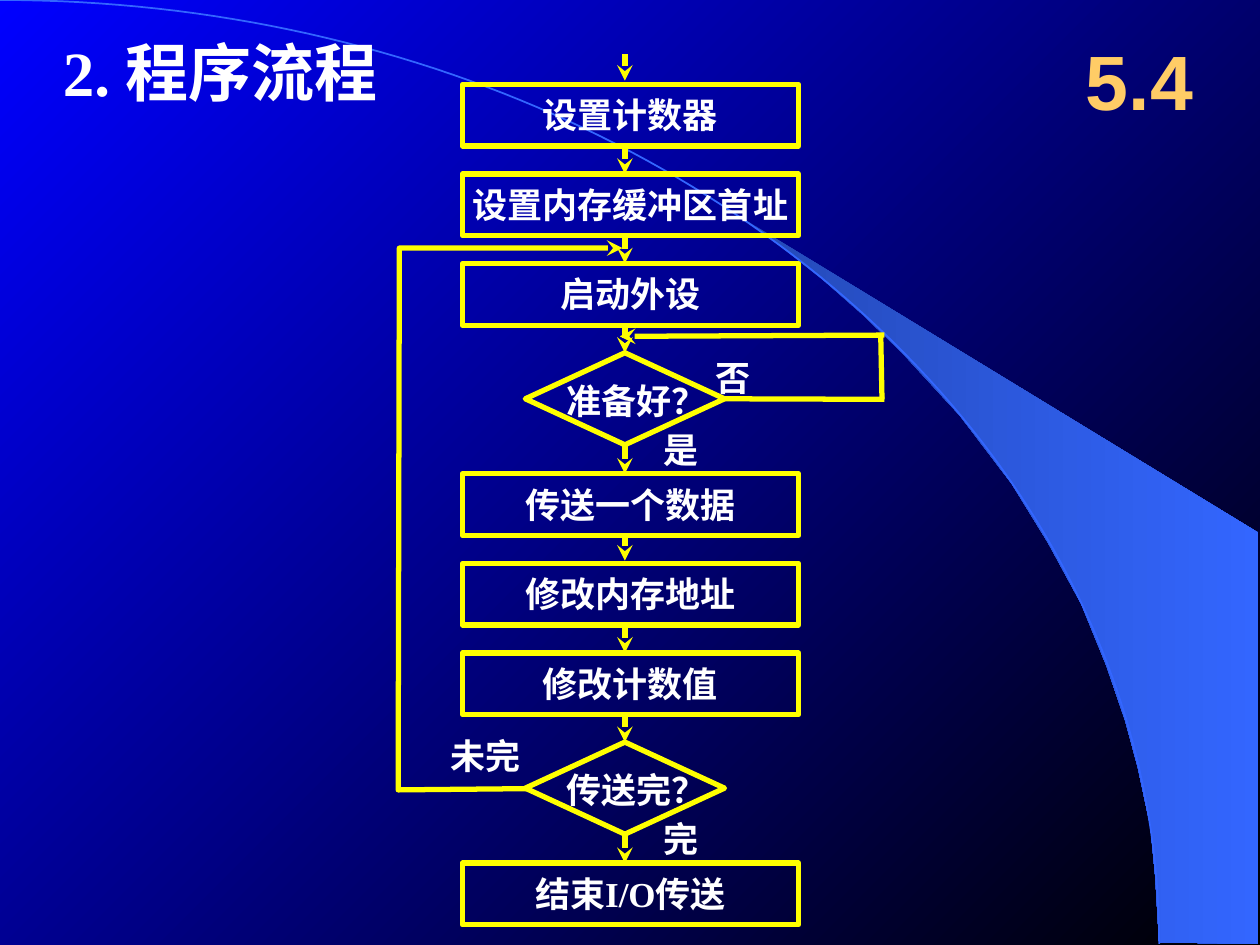
import pptx
import pptx.dml.color
import pptx.enum.shapes
import pptx.enum.text
import pptx.oxml.ns
import pptx.util
from lxml import etree

Pt = pptx.util.Pt
RGB = pptx.dml.color.RGBColor.from_string
Shapes = pptx.enum.shapes.MSO_SHAPE
Anchor = pptx.enum.text.MSO_ANCHOR
Align = pptx.enum.text.PP_ALIGN
qn = pptx.oxml.ns.qn

COLORS = {
    "blue": "0000FF", "black": "000000", "wedge": "2449B6", "arc": "3366FF",
    "flow": "FFFF00", "text": "FFFFFF", "number": "FFCC66",
}


def write(shape, text, size=20, font="Times New Roman", color="text", align=Align.LEFT,
          anchor=Anchor.TOP, wrap=False, top_inset=3.6):
    frame = shape.text_frame
    frame.word_wrap = wrap
    frame.auto_size = pptx.enum.text.MSO_AUTO_SIZE.NONE
    frame.vertical_anchor = anchor
    frame.margin_left = frame.margin_right = Pt(7.2)
    frame.margin_top, frame.margin_bottom = Pt(top_inset), Pt(3.6)
    paragraph = frame.paragraphs[0]
    paragraph.alignment = align
    run = paragraph.add_run()
    run.text = text
    run.font.name = font
    run.font.size = Pt(size)
    run.font.bold = True
    run.font.color.rgb = RGB(COLORS[color])


def outline(shape, color="flow", width=3, arrow=False):
    shape.line.color.rgb = RGB(COLORS[color])
    shape.line.width = Pt(width)
    properties = shape.element.spPr
    if arrow:
        etree.SubElement(properties.find(qn("a:ln")), qn("a:tailEnd"), type="stealth")
    etree.SubElement(properties, qn("a:effectLst"))


presentation = pptx.Presentation()
presentation.slide_width, presentation.slide_height = Pt(720), Pt(540)
slide = presentation.slides.add_slide(presentation.slide_layouts[5])
shapes = slide.shapes

background = slide.background.fill
background.gradient()
background.gradient_angle = 315
for stop, color, position in zip(background.gradient_stops, ("blue", "black"), (0, 1)):
    stop.color.rgb = RGB(COLORS[color])
    stop.position = position

wedge_points = [
    (662.4, 538.6), (719.3, 539.3), (719.3, 304.6), (424.1, 124.6), (449.3, 143.3),
    (470.2, 159.8), (493.2, 180), (515.5, 201.6), (548.6, 237.6), (578.2, 276.5),
    (599, 310.3), (617.8, 344.9), (632.2, 380.2), (643, 411.8), (650.2, 438.5),
    (657.4, 472.3), (660.2, 501.1), (662.4, 538.6),
]
arc_points = []
for step in range(97):
    t = step / 96
    x = 3 * (1 - t) ** 2 * t * 365.8 + (3 * (1 - t) * t ** 2 + t ** 3) * 662.4
    y = 3 * (1 - t) * t ** 2 * 241.2 + t ** 3 * 539.3
    arc_points.append((x, y))
return_points = [(301, 450.7), (227.5, 451.4), (228.2, 141.8), (355.7, 141.8)]

freeforms = []
for points in (wedge_points, arc_points, return_points):
    corners = [(Pt(x), Pt(y)) for x, y in points]
    builder = shapes.build_freeform(*corners[0], scale=1)
    builder.add_line_segments(corners[1:], close=points is wedge_points)
    freeforms.append(builder.convert_to_shape())
wedge, arc, return_path = freeforms

wedge.shadow.inherit = False
wedge.line.fill.background()
wedge.fill.gradient()
wedge.fill.gradient_angle = 0
for stop, color, position in zip(wedge.fill.gradient_stops, ("wedge", "arc"), (0, 1)):
    stop.color.rgb = RGB(COLORS[color])
    stop.position = position
arc.fill.background()
outline(arc, color="arc", width=1)
return_path.fill.background()
outline(return_path, arrow=True)

title = shapes.title
title.left, title.top, title.width, title.height = Pt(606.2), Pt(12.2), Pt(90), Pt(66.2)
write(title, "5.4", size=44, font="Arial", color="number", align=Align.CENTER,
      anchor=Anchor.MIDDLE, wrap=True)

heading = shapes.add_textbox(Pt(28.8), Pt(15.8), Pt(194.4), Pt(50.4))
write(heading, "2. 程序流程", size=36, wrap=True)

step_groups = [
    (48.2, ["设置计数器", "设置内存缓冲区首址", "启动外设"]),
    (270.7, ["传送一个数据", "修改内存地址", "修改计数值"]),
    (493.2, ["结束I/O传送"]),
]
for first_top, names in step_groups:
    for row, name in enumerate(names):
        box = shapes.add_shape(Shapes.RECTANGLE, Pt(264.2), Pt(first_top + 51.2 * row),
                               Pt(192.2), Pt(35.3))
        box.fill.background()
        outline(box)
        write(box, name, align=Align.CENTER, anchor=Anchor.MIDDLE, top_inset=2.9)

decisions = []
for top in (201.6, 424.1):
    diamond = shapes.add_shape(Shapes.DIAMOND, Pt(300.2), Pt(top), Pt(113.8), Pt(52.6))
    diamond.fill.background()
    outline(diamond)
    decisions.append(diamond)
ready, finished = decisions

labels = [
    ("准备好？", 316.8, 213.1, 95), ("传送完？", 316.8, 435.6, 95),
    ("未完", 250.6, 416.2, 54.7), ("是", 372.2, 241.2, 34.6),
    ("完", 372.2, 463.7, 34.6), ("否", 401.8, 200.2, 34.6),
]
for text, left, top, width in labels:
    label = shapes.add_textbox(Pt(left), Pt(top), Pt(width), Pt(31))
    write(label, text)

center = 357.1
arrows = [
    (31, 46.1, None, None), (84.2, 99.4, None, None), (136.1, 150.5, None, None),
    (185.8, 201.6, None, ready), (254.2, 270.7, ready, None),
    (305.3, 320.4, None, None), (358.6, 373, None, None),
    (407.5, 424.1, None, finished), (476.7, 493.2, finished, None),
]
lines = [(center, start, center, end, True, source, 2, target)
         for start, end, source, target in arrows]
lines += [
    (414, 228.2, 505.4, 228.2, False, ready, 3, None),
    (504, 228.2, 503.3, 192.2, False, None, None, None),
    (505.4, 191.5, 354.2, 192.2, True, None, None, None),
]
for x1, y1, x2, y2, arrow, source, side, target in lines:
    connector = shapes.add_connector(pptx.enum.shapes.MSO_CONNECTOR.STRAIGHT,
                                     Pt(x1), Pt(y1), Pt(x2), Pt(y2))
    if source is not None:
        connector.begin_connect(source, side)
    if target is not None:
        connector.end_connect(target, 0)
    outline(connector, arrow=arrow)

presentation.save("out.pptx")
